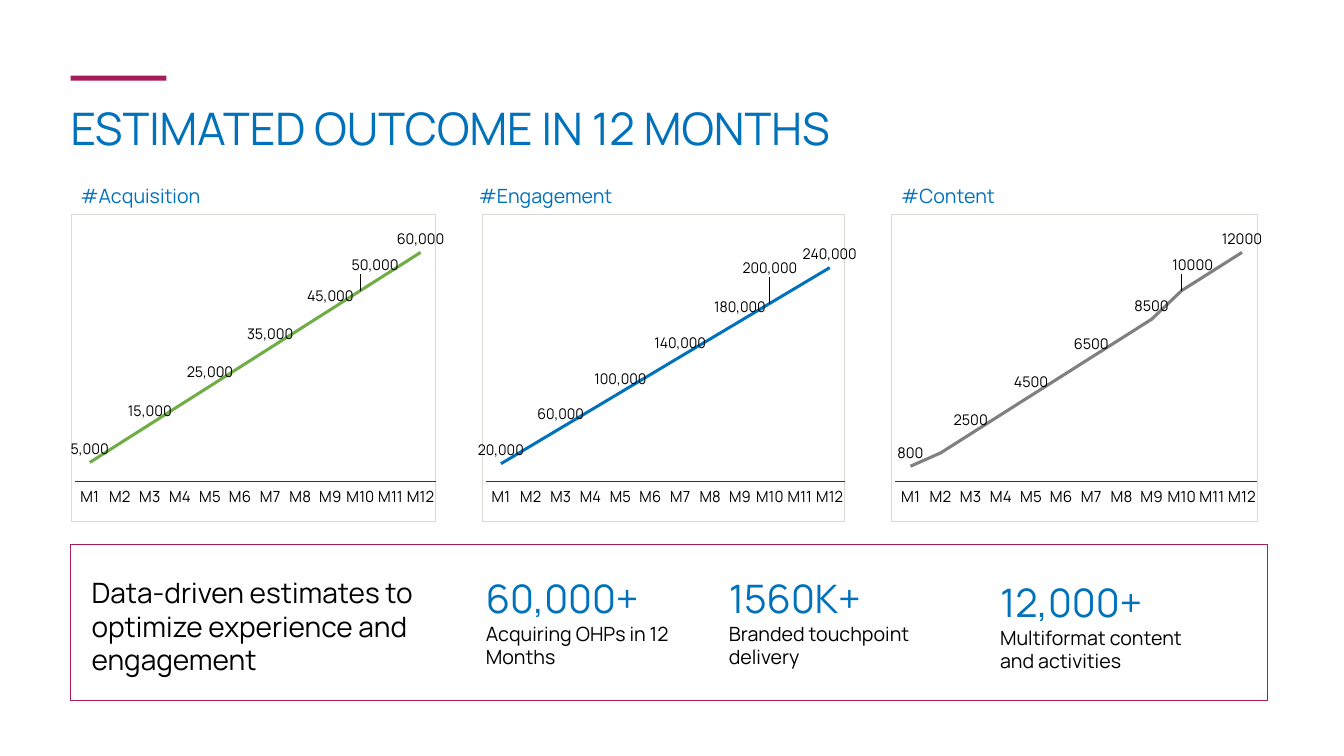
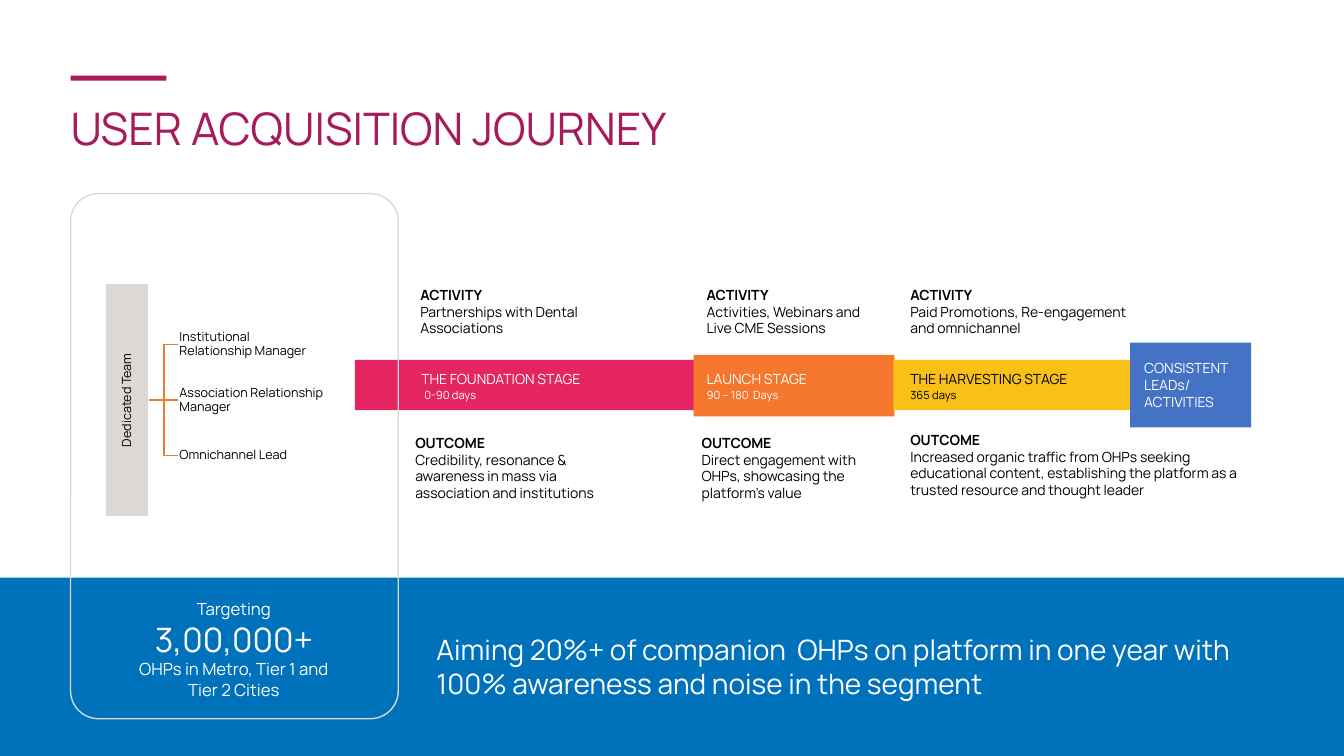
import copy

import pptx
import pptx.chart.data
import pptx.dml.color
import pptx.enum.chart
import pptx.enum.shapes
import pptx.enum.text
import pptx.oxml
import pptx.oxml.ns
import pptx.util

Inches, Pt = pptx.util.Inches, pptx.util.Pt
RGBColor = pptx.dml.color.RGBColor
SHAPE = pptx.enum.shapes.MSO_SHAPE
CONNECTOR = pptx.enum.shapes.MSO_CONNECTOR
ALIGN = pptx.enum.text.PP_ALIGN
ANCHOR = pptx.enum.text.MSO_ANCHOR
AUTO_SIZE = pptx.enum.text.MSO_AUTO_SIZE
qn = pptx.oxml.ns.qn

FONT = "Manrope"
BLUE = RGBColor(0x00, 0x72, 0xBB)
MAGENTA = RGBColor(0xA6, 0x1B, 0x59)
NAVY = RGBColor(0x29, 0x2D, 0x81)
GREEN = RGBColor(0x70, 0xAD, 0x47)
GREY = RGBColor(0x80, 0x80, 0x80)
STONE = RGBColor(0xDC, 0xD8, 0xD3)
PINK = RGBColor(0xE5, 0x25, 0x61)
ORANGE = RGBColor(0xF4, 0x77, 0x2D)
RUST = RGBColor(0xED, 0x7D, 0x31)
YELLOW = RGBColor(0xF9, 0xC0, 0x18)
INDIGO = RGBColor(0x44, 0x72, 0xC4)
BLACK = RGBColor(0, 0, 0)
WHITE = RGBColor(255, 255, 255)

MONTHS = [f"M{n}" for n in range(1, 13)]
HIDDEN_LABELS = (1, 3, 5, 7, 10)
SHIFTED_LABEL = 9
CHART_NS = pptx.oxml.ns.nsdecls("c", "a")


def set_all(target, fmt):
    for name, value in fmt.items():
        setattr(target, name, value)


def set_font(font, size, color, bold=False):
    set_all(font, {"name": FONT, "size": Pt(size), "bold": bold})
    font.color.rgb = color


def manual_layout(x, y, extra=""):
    return (f'<c:layout {CHART_NS}><c:manualLayout>{extra}'
            f'<c:x val="{x}"/><c:y val="{y}"/>')


class Deck:
    """House style plus the slide being built."""

    def __init__(self):
        self.prs = pptx.Presentation()
        set_all(self.prs, {"slide_width": Inches(13.33), "slide_height": Inches(7.5)})
        self.s = None

    def slide(self, title, color, width):
        self.s = self.prs.slides.add_slide(self.prs.slide_layouts[5])
        self.box(0.7, 0.75, 0.95, 0.05, fill=MAGENTA)
        sp = self.s.shapes.title
        set_all(sp, {"left": Inches(0.6), "top": Inches(0.95),
                     "width": Inches(width), "height": Inches(0.64)})
        self.fill_text(sp.text_frame, [(title, 32, color)])

    def fill_text(self, tf, lines, align=ALIGN.LEFT, anchor=ANCHOR.TOP, spacing=None):
        """Fill a frame with paragraphs given as (text, size, color[, bold])."""
        set_all(tf, {"word_wrap": True, "vertical_anchor": anchor,
                     "auto_size": AUTO_SIZE.NONE})
        for i, (text, *style) in enumerate(lines):
            p = tf.add_paragraph() if i else tf.paragraphs[0]
            set_all(p, {"alignment": align, "line_spacing": spacing})
            r = p.add_run()
            r.text = text
            set_font(r.font, *style)

    def text(self, x, y, w, h, lines, **kw):
        sp = self.s.shapes.add_textbox(Inches(x), Inches(y), Inches(w), Inches(h))
        self.fill_text(sp.text_frame, lines, **kw)

    def box(self, x, y, w, h, fill=None, line=None, shape=SHAPE.RECTANGLE):
        sp = self.s.shapes.add_shape(shape, Inches(x), Inches(y), Inches(w), Inches(h))
        sp.shadow.inherit = False
        if fill is None:
            sp.fill.background()
        else:
            sp.fill.solid()
            sp.fill.fore_color.rgb = fill
        if line is None:
            sp.line.fill.background()
        else:
            sp.line.color.rgb = line
            sp.line.width = Pt(1)
        return sp

    def label_box(self, x, y, w, h, text, fill=None, align=ALIGN.LEFT):
        sp = self.box(x, y, w, h, fill, WHITE)
        margins = ("margin_left", "margin_top", "margin_right", "margin_bottom")
        set_all(sp.text_frame, dict.fromkeys(margins, Inches(0.01)))
        self.fill_text(sp.text_frame, [(text, 9, BLACK)], align, ANCHOR.MIDDLE, 0.9)
        return sp

    def join(self, a, b, kind):
        """Connect the right side of a to the left side of b."""
        c = self.s.shapes.add_connector(kind, 0, 0, 0, 0)
        c.begin_connect(a, 3)
        c.end_connect(b, 1)
        c.line.color.rgb = RUST
        c.line.width = Pt(1)
        c._element.spPr.append(pptx.oxml.parse_xml(
            f'<a:effectLst {pptx.oxml.ns.nsdecls("a")}/>'))

    def line_chart(self, x, w, values, top, color, fmt, shift):
        data = pptx.chart.data.CategoryChartData()
        data.categories = MONTHS
        data.add_series("Series 1", values)
        chart = self.s.shapes.add_chart(
            pptx.enum.chart.XL_CHART_TYPE.LINE, Inches(x), Inches(2.12),
            Inches(w), Inches(3.06), data).chart
        set_all(chart, {"has_legend": False, "has_title": False})
        set_font(chart.font, 11, BLACK)

        # Axes
        axis = chart.category_axis
        axis.major_tick_mark = pptx.enum.chart.XL_TICK_MARK.NONE
        set_font(axis.tick_labels.font, 11, BLACK)
        axis.format.line.color.rgb = NAVY
        axis.format.line.width = Pt(0.75)
        set_all(chart.value_axis, {"visible": False, "has_major_gridlines": False,
                                   "minimum_scale": 0, "maximum_scale": top})

        # Line and its labels
        chart.plots[0].vary_by_categories = False
        ser = chart.plots[0].series[0]
        ser.smooth = False
        ser.marker.style = pptx.enum.chart.XL_MARKER_STYLE.NONE
        ser.format.line.color.rgb = color
        ser.format.line.width = Pt(2.25)
        labels = ser.data_labels
        set_all(labels, {"show_value": True, "number_format": fmt,
                         "number_format_is_linked": False,
                         "position": pptx.enum.chart.XL_LABEL_POSITION.ABOVE})
        set_font(labels.font, 10.5, BLACK)
        self.adjust_labels(labels._element, shift)
        self.frame_chart(chart._chartSpace)

    @staticmethod
    def adjust_labels(dLbls, shift):
        """Drop every other label and nudge the M10 one off the line."""
        shared = [e for e in dLbls if e.tag != qn("c:showLeaderLines")]
        for i, idx in enumerate(sorted(HIDDEN_LABELS + (SHIFTED_LABEL,))):
            dLbl = pptx.oxml.parse_xml(f'<c:dLbl {CHART_NS}><c:idx val="{idx}"/></c:dLbl>')
            if idx == SHIFTED_LABEL:
                dLbl.append(pptx.oxml.parse_xml(
                    manual_layout(*shift) + "</c:manualLayout></c:layout>"))
                dLbl.extend(copy.deepcopy(shared))
            else:
                dLbl.append(pptx.oxml.parse_xml(f'<c:delete {CHART_NS} val="1"/>'))
            dLbls.insert(i, dLbl)

    @staticmethod
    def frame_chart(space):
        """Fix the plot area and give the chart a thin border."""
        plot = space.find(".//" + qn("c:plotArea"))
        for old in plot.findall(qn("c:layout")):
            plot.remove(old)
        modes = ('<c:layoutTarget val="inner"/><c:xMode val="edge"/>'
                 '<c:yMode val="edge"/>')
        plot.insert(0, pptx.oxml.parse_xml(
            manual_layout(0.01, 0, modes)
            + '<c:w val="0.99"/><c:h val="0.87"/></c:manualLayout></c:layout>'))
        space.find(qn("c:chart")).addnext(pptx.oxml.parse_xml(
            f'<c:spPr {CHART_NS}><a:noFill/><a:ln w="9525"><a:solidFill>'
            f'<a:srgbClr val="{STONE}"/></a:solidFill></a:ln></c:spPr>'))


def outcome_slide(d):
    d.slide("ESTIMATED OUTCOME IN 12 MONTHS", BLUE, 8.91)

    # Charts with their captions
    content = [800, *range(1500, 8501, 1000), 10000, 11000, 12000]
    charts = [
        ("#Acquisition", 0.7, 0.7, 3.71, range(5000, 60001, 5000), 70000,
         GREEN, "#,##0", (0.04, -0.04)),
        ("#Engagement", 4.65, 4.74, 3.76, range(20000, 240001, 20000), 300000,
         BLUE, "#,##0", (0, -0.07)),
        ("#Content", 8.84, 8.84, 3.68, content, 14000, GREY, "0", (0.03, -0.04)),
    ]
    for caption, caption_x, *chart in charts:
        d.line_chart(*chart)
        d.text(caption_x, 1.78, 2.02, 0.34, [(caption, 14, BLUE)])

    # Summary panel
    d.box(0.7, 5.4, 11.87, 1.55, line=MAGENTA)
    d.text(0.81, 5.66, 4.53, 1.11,
           [("Data-driven estimates to optimize experience and engagement", 20, BLACK)])
    for x, y, w, figure, note in [
            (4.72, 5.65, 2.1, "60,000+", "Acquiring OHPs in 12 Months"),
            (7.13, 5.65, 2.38, "1560K+", "Branded touchpoint delivery"),
            (9.82, 5.69, 2.38, "12,000+", "Multiformat content and activities")]:
        d.text(x, y, w, 1.04, [(figure, 28, BLUE), (note, 14, BLACK)])


def journey_slide(d):
    d.slide("USER ACQUISITION JOURNEY", MAGENTA, 6.55)

    # Stage bars
    for x, y, w, h, color in [(3.52, 3.57, 3.56, 0.5, PINK),
                              (6.88, 3.52, 1.99, 0.61, ORANGE),
                              (8.86, 3.57, 2.35, 0.5, YELLOW),
                              (11.21, 3.4, 1.2, 0.84, INDIGO)]:
        d.box(x, y, w, h, color)

    # Stage names and periods
    for x, name, period_x, period, color in [
            (4.08, "THE FOUNDATION STAGE", 4.11, "0-90 days", WHITE),
            (6.91, "LAUNCH STAGE", 6.91, "90 – 180  Days", WHITE),
            (8.93, "THE HARVESTING STAGE", 8.93, "365 days", BLACK)]:
        d.text(x, 3.63, 2.21, 0.27, [(name, 10, color)])
        d.text(period_x, 3.8, 1.71, 0.24, [(period, 8, color)])
    d.text(11.25, 3.52, 1.14, 0.61, [("CONSISTENT LEADs/ ACTIVITIES", 10, WHITE)])

    # Activities above the bars, outcomes below
    for x, y, w, heading, *notes in [
            (4.07, 2.79, 2.93, "ACTIVITY", "Partnerships with Dental", "Associations"),
            (6.91, 2.79, 1.83, "ACTIVITY", "Activities, Webinars and Live CME Sessions"),
            (8.93, 2.79, 2.51, "ACTIVITY", "Paid Promotions, Re-engagement and omnichannel"),
            (4.02, 4.26, 2.35, "OUTCOME", "Credibility, resonance & awareness in mass via "
             "association and institutions"),
            (6.86, 4.26, 1.95, "OUTCOME", "Direct engagement with OHPs, showcasing the "
             "platform’s value"),
            (8.93, 4.23, 3.48, "OUTCOME", "Increased organic traffic from OHPs seeking "
             "educational content, establishing the platform as a trusted resource and "
             "thought leader")]:
        d.text(x, y, w, 0.77, [(heading, 10, BLACK, True)]
               + [(note, 10, BLACK) for note in notes])

    # Target band and outlined panel
    d.box(0, 5.73, 13.33, 1.77, BLUE)
    panel = d.box(0.7, 1.92, 3.25, 5.21, line=STONE, shape=SHAPE.ROUNDED_RECTANGLE)
    panel.adjustments[0] = 0.085
    d.text(1.23, 5.89, 2.18, 1.11,
           [("Targeting", 12, WHITE), ("3,00,000+", 24, WHITE),
            ("OHPs in Metro, Tier 1 and Tier 2 Cities", 12, WHITE)], align=ALIGN.CENTER)
    d.text(4.23, 6.23, 8.28, 0.77,
           [("Aiming 20%+ of companion  OHPs on platform in one year with 100% "
             "awareness and noise in the segment", 20, WHITE)])

    # Team chart
    team = d.label_box(1.04, 2.81, 0.44, 2.32, "Dedicated Team", STONE, ALIGN.CENTER)
    team.text_frame._txBody.bodyPr.set("vert", "vert270")
    for i, (role, kind) in enumerate([
            ("Institutional Relationship Manager", CONNECTOR.ELBOW),
            ("Association Relationship Manager", CONNECTOR.STRAIGHT),
            ("Omnichannel Lead", CONNECTOR.ELBOW)]):
        d.join(team, d.label_box(1.77, 3.2 + 0.55 * i, 1.45, 0.44, role), kind)


def main():
    d = Deck()
    outcome_slide(d)
    journey_slide(d)
    d.prs.save("out.pptx")


if __name__ == "__main__":
    main()
